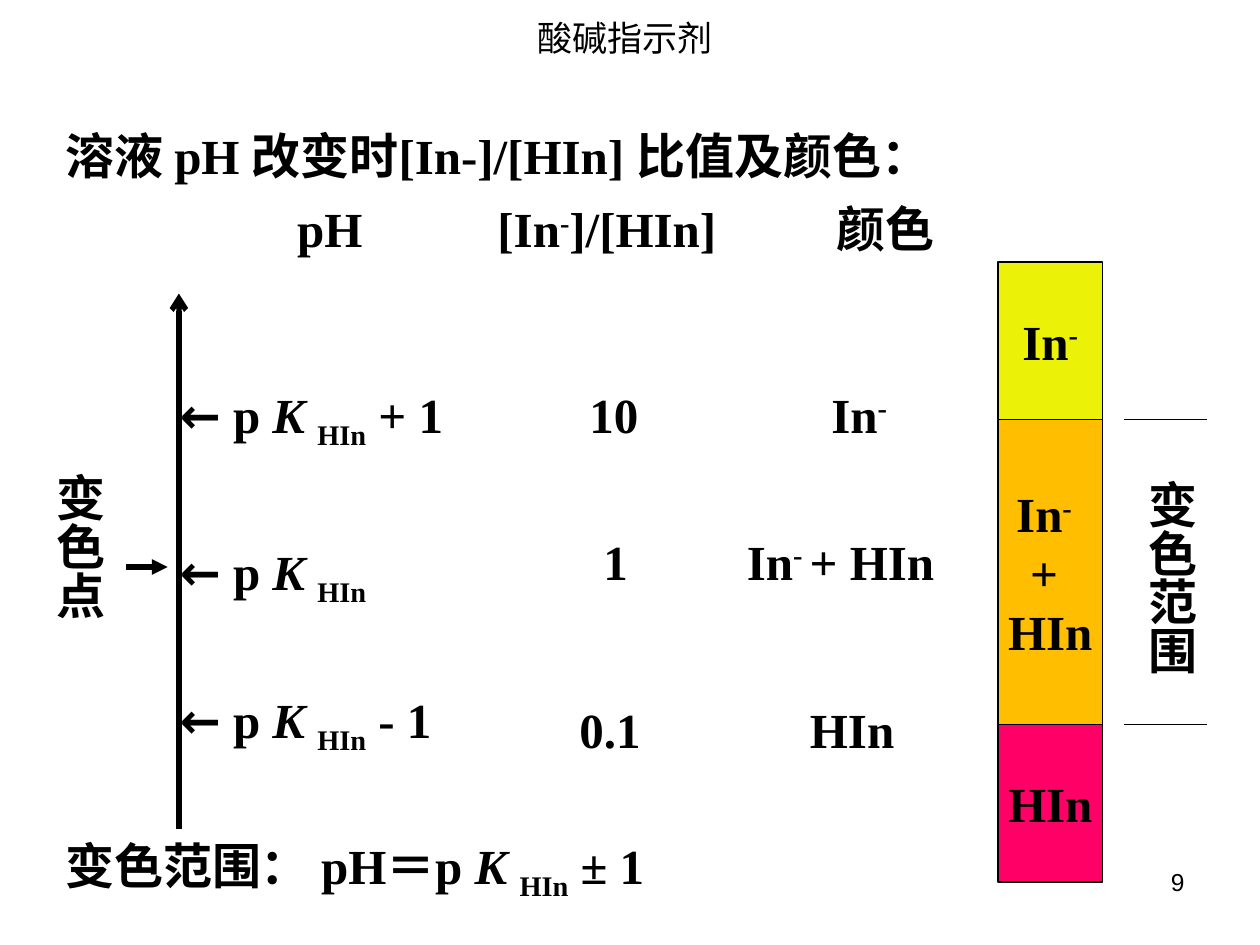
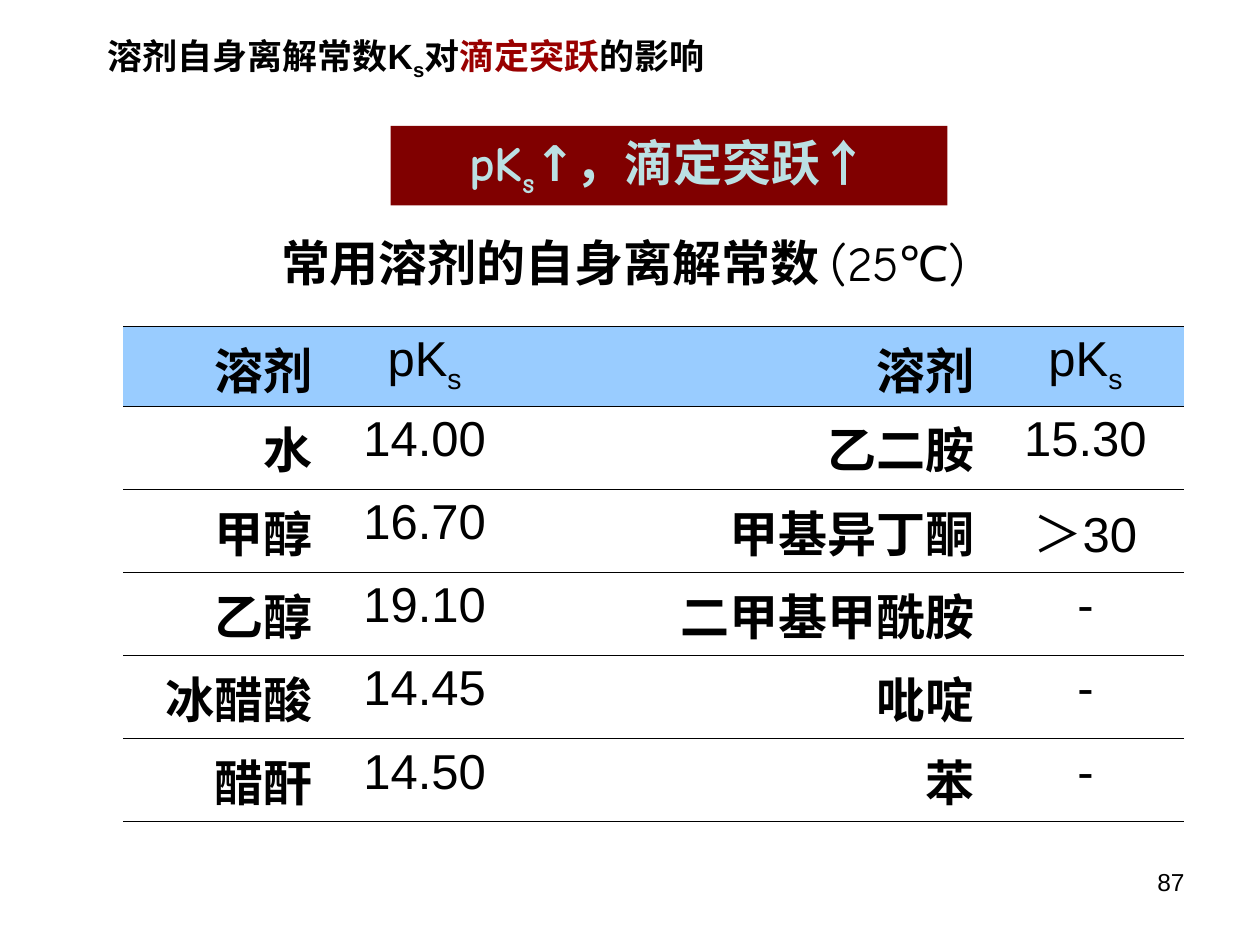
from lxml.etree import SubElement
from pptx import Presentation
from pptx.dml.color import RGBColor
from pptx.enum.shapes import MSO_CONNECTOR as CONN, MSO_SHAPE as SHAPE
from pptx.enum.text import MSO_ANCHOR as ANCHOR, MSO_AUTO_SIZE as FIT, PP_ALIGN as ALIGN
from pptx.oxml import parse_xml
from pptx.oxml.ns import nsdecls, qn
from pptx.util import Inches, Pt

BLACK = RGBColor(0x00, 0x00, 0x00)
YELLOW = RGBColor(0xEB, 0xF1, 0x07)
ORANGE = RGBColor(0xFF, 0xBF, 0x00)
PINK = RGBColor(0xFF, 0x00, 0x66)
RED = RGBColor(0x99, 0x00, 0x00)
MAROON = RGBColor(0x80, 0x00, 0x00)
PALE_TEAL = RGBColor(0xBB, 0xE0, 0xE3)
HEADER_BLUE = RGBColor(0x99, 0xCC, 0xFF)

SERIF, SANS, COMIC, ROBOTO = "Times New Roman", "Arial", "Comic Neue", "Roboto"
CJK = "Noto Sans CJK SC"
SUB, SUP = {"baseline": "-25000"}, {"baseline": "30000"}
ITALIC, REGULAR = {"i": "1"}, {"b": "0"}


def write(tf, paragraphs, font=SERIF, size=28, bold=True, color=BLACK, align=ALIGN.LEFT):
    """Fill a frame; each paragraph is a list of strings or (string, run attributes)."""
    for i, runs in enumerate(paragraphs):
        p = tf.paragraphs[0] if i == 0 else tf.add_paragraph()
        p.alignment = align
        p.font.name, p.font.size, p.font.bold = font, Pt(size), bold
        p.font.color.rgb = color
        SubElement(p._p.pPr.find(qn("a:defRPr")), qn("a:ea"), typeface=CJK)
        for run in runs:
            text, attributes = (run, {}) if isinstance(run, str) else run
            r = p.add_run()
            r.text = text
            for name, value in attributes.items():
                r._r.get_or_add_rPr().set(name, value)


def add_text(s, x, y, w, h, paragraphs, vertical=False, **style):
    tf = s.shapes.add_textbox(Inches(x), Inches(y), Inches(w), Inches(h)).text_frame
    tf.word_wrap = True
    if vertical:
        tf.margin_left = tf.margin_right = Inches(0.05)
        tf.margin_top = tf.margin_bottom = Inches(0.1)
        tf._txBody.bodyPr.set("vert", "eaVert")
    write(tf, paragraphs, **style)
    return tf


prs = Presentation()
prs.slide_width, prs.slide_height = Inches(10), Inches(7.5)

# Titles and page numbers
titles = [
    ("9", (1.75, 0.08, 6.42, 0.44), ["酸碱指示剂"], CJK, False, ALIGN.CENTER),
    ("87", (0.75, 0.25, 8.67, 0.42),
     ["溶剂自身离解常数K", ("s", SUB), "对", "滴定突跃", "的影响"], SANS, True, ALIGN.LEFT),
]
for number, box, runs, font, bold, align in titles:
    s = prs.slides.add_slide(prs.slide_layouts[5])
    title = s.shapes.title
    title.left, title.top, title.width, title.height = map(Inches, box)
    title.text_frame.auto_size = FIT.NONE
    title.text_frame.vertical_anchor = ANCHOR.MIDDLE
    write(title.text_frame, [runs], font=font, size=20, bold=bold, align=align)
    add_text(s, 7.17, 6.83, 2.33, 0.52, [[number]],
             font=SANS, size=14, bold=False, align=ALIGN.RIGHT)
indicator, solvents = prs.slides
solvents.shapes.title.text_frame.paragraphs[0].runs[3].font.color.rgb = RED

# Indicator: heading and column heads on tab stops
s = indicator
tf = add_text(s, 0.42, 0.83, 9.17, 1.27, [
    ["溶液 pH 改变时[In-]/[HIn] 比值及颜色："],
    ["\tpH\t[In", ("-", SUP), "]/[HIn]\t颜色"],
])
for p in tf.paragraphs:
    p.line_spacing = 1.25
tabs = parse_xml(f"<a:tabLst {nsdecls('a')}/>")
for stop in (1.84, 3.43, 6.12):
    SubElement(tabs, qn("a:tab"), pos=str(Inches(stop)), algn="l")
p._p.pPr.find(qn("a:defRPr")).addprevious(tabs)

# Lines: pH axis, colour change arrow, limits of the range
lines = [
    (1.42, 6.58, 1.42, 2.33, 3, "arrow"),
    (1, 4.5, 1.33, 4.5, 3, "triangle"),
    (8.92, 3.33, 9.58, 3.33, 0.75, None),
    (8.92, 5.75, 9.58, 5.75, 0.75, None),
]
for x1, y1, x2, y2, width, head in lines:
    line = s.shapes.add_connector(CONN.STRAIGHT, Inches(x1), Inches(y1), Inches(x2), Inches(y2))
    line.line.color.rgb, line.line.width = BLACK, Pt(width)
    if head:
        SubElement(line.line._ln, qn("a:tailEnd"), type=head)
    SubElement(line._element.spPr, qn("a:effectLst"))

# pH marks along the axis
for y, ending in ((3, " + 1"), (4.25, ""), (5.42, " - 1")):
    tf = add_text(s, 1.33, y, 3.67, 0.63,
                  [["← ", "p ", ("K ", ITALIC), ("HIn", SUB), ending]])
    tf.paragraphs[0].runs[0].font.name = ROBOTO

# Ratios and colours
cells = [
    (4.58, 3, 1, ["10"]), (6.5, 3, 0.92, ["In", ("-", SUP)]),
    (4.69, 4.17, 0.8, ["1"]), (5.83, 4.17, 2.08, ["In", ("- ", SUP), "+ HIn"]),
    (4.5, 5.5, 1, ["0.1"]), (6.33, 5.5, 1.17, ["HIn"]),
]
for x, y, w, runs in cells:
    add_text(s, x, y, w, 0.57, [runs])

# Colour column
bands = [
    (2.08, 1.25, YELLOW, [["In", ("-", SUP)]]),
    (3.33, 2.42, ORANGE, [["In", ("-", SUP), " "], ["+ "], ["HIn"]]),
    (5.75, 1.25, PINK, [["HIn"]]),
]
for y, h, color, paragraphs in bands:
    sp = s.shapes.add_shape(SHAPE.RECTANGLE, Inches(7.92), Inches(y), Inches(0.83), Inches(h))
    sp.shadow.inherit = False
    sp.fill.solid()
    sp.fill.fore_color.rgb = color
    sp.line.color.rgb, sp.line.width = BLACK, Pt(0.75)
    sp.text_frame.word_wrap = False
    write(sp.text_frame, paragraphs, align=ALIGN.CENTER)

# Vertical labels, each box just taller than its text, and conclusion
for x, middle, label in ((8.92, 4.63, "变色范围"), (0.25, 4.38, "变色点")):
    h = 0.4 * len(label) + 0.24
    add_text(s, x, middle - h / 2, 0.66, h, [[label]],
             vertical=True, font=ROBOTO, align=ALIGN.CENTER)
add_text(s, 0.42, 6.58, 5.67, 0.63,
         [["变色范围： pH＝p ", ("K ", ITALIC), ("HIn", SUB), " ± 1"]])

# Solvents: banner and table heading
s = solvents
sp = s.shapes.add_shape(SHAPE.RECTANGLE, Inches(3.1), Inches(1), Inches(4.42), Inches(0.63))
sp.shadow.inherit = False
sp.fill.solid()
sp.fill.fore_color.rgb = MAROON
sp.line.fill.background()
sp.text_frame.vertical_anchor = ANCHOR.TOP
write(sp.text_frame, [["pK", ("s", SUB), "↑，滴定突跃↑"]],
      font=COMIC, color=PALE_TEAL, align=ALIGN.CENTER)
add_text(s, 0.51, 1.8, 8.87, 0.57, [["常用溶剂的自身离解常数 ", ("(25℃)", REGULAR)]],
         font=COMIC, align=ALIGN.CENTER)

# Table of constants
PKS = ["pK", ("s", SUB)]
rows = [
    (["溶剂"], PKS, ["溶剂"], PKS),
    (["水"], ["14.00"], ["乙二胺"], ["15.30"]),
    (["甲醇"], ["16.70"], ["甲基异丁酮"], ["＞30"]),
    (["乙醇"], ["19.10"], ["二甲基甲酰胺"], ["-"]),
    (["冰醋酸"], ["14.45"], ["吡啶"], ["-"]),
    (["醋酐"], ["14.50"], ["苯"], ["-"]),
]
table = s.shapes.add_table(len(rows), 4, Inches(0.98), Inches(2.59),
                           Inches(8.42), Inches(3.93)).table
table.first_row = table.horz_banding = False
for column, width in zip(table.columns, (1.6, 1.58, 3.67, 1.57)):
    column.width = Inches(width)
for i, row in enumerate(rows):
    table.rows[i].height = Inches(0.66 if i else 0.63)
    top = 0.45 if i else 1.08
    bottom = 1.08 if i == len(rows) - 1 else 0.45
    for j, runs in enumerate(row):
        cell = table.cell(i, j)
        is_name = j % 2 == 0
        write(cell.text_frame, [runs], font=SANS, bold=is_name,
              align=ALIGN.RIGHT if is_name else ALIGN.CENTER)
        if i == 0:
            cell.fill.solid()
            cell.fill.fore_color.rgb = HEADER_BLUE
        else:
            cell.fill.background()
        borders = (("L", 0), ("R", 0), ("T", top), ("B", bottom))
        for k, (side, width) in enumerate(borders):
            paint = f'<a:solidFill><a:srgbClr val="{BLACK}"/></a:solidFill>' if width else "<a:noFill/>"
            cell._tc.get_or_add_tcPr().insert(k, parse_xml(
                f'<a:ln{side} {nsdecls("a")} w="{Pt(width)}">{paint}</a:ln{side}>'))

prs.save("out.pptx")
